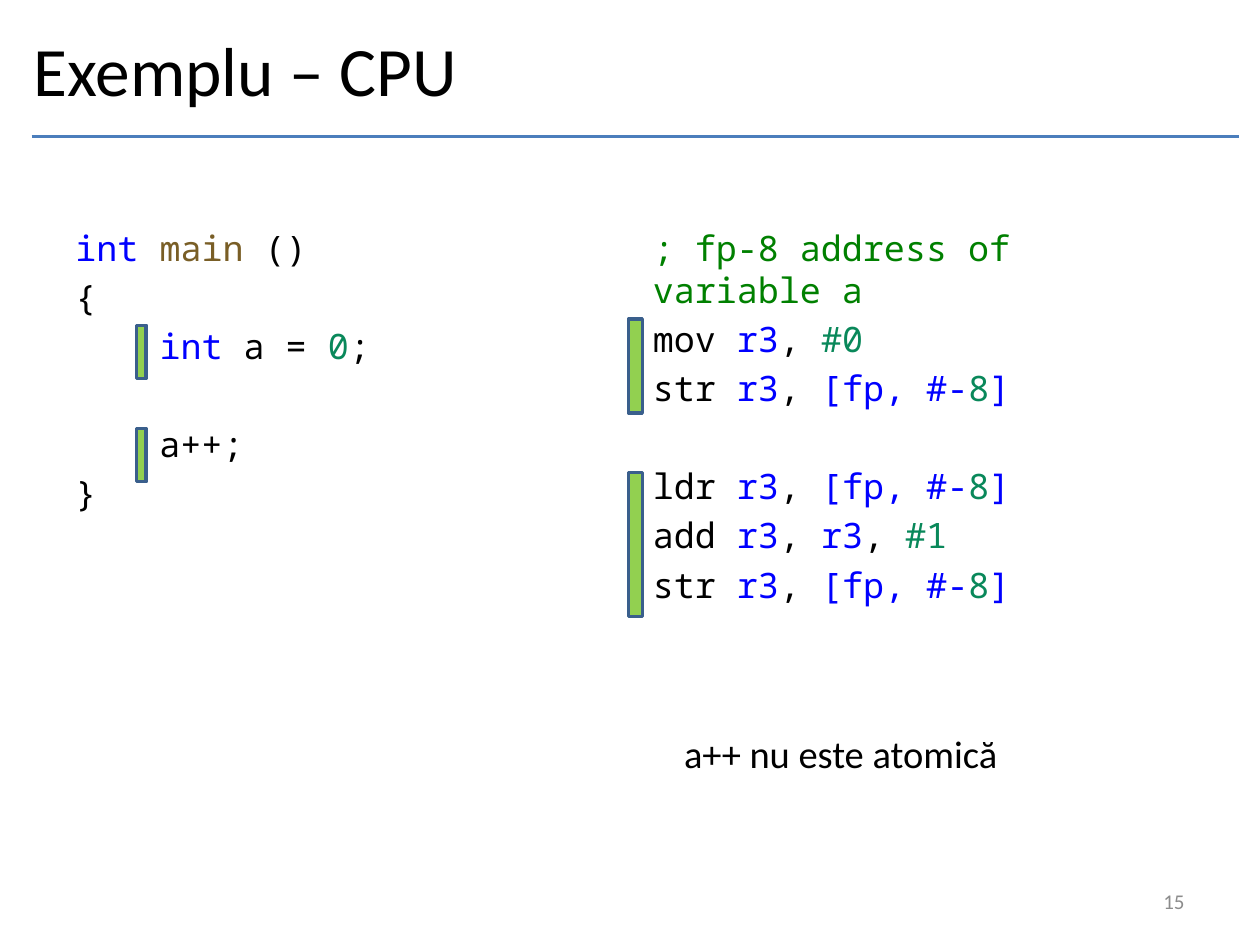
from lxml import etree
from pptx import Presentation
from pptx import util as u
from pptx.dml.color import RGBColor
from pptx.enum import shapes, text
from pptx.oxml.ns import qn

COLOURS = {
    "plain": "000000", "keyword": "0000FF", "function": "795E26",
    "number": "09885A", "remark": "008000", "rule": "4B7EBC",
    "bar": "92D050", "edge": "3A5F8C", "page": "8C8C8C",
}


class SlideBuilder:
    """Holds the style and the current page, and adds each kind of element."""

    body_font = "Calibri"
    code_font = "Noto Sans Mono"
    code_size = 20
    code_gap = 4
    blank_line = 28

    def __init__(self, deck):
        self.page = deck.slides.add_slide(deck.slide_layouts[6])

    def colour(self, name):
        return RGBColor.from_string(COLOURS[name])

    def style(self, span, font, size, colour):
        span.font.name = font
        span.font.size = u.Pt(size)
        span.font.color.rgb = self.colour(colour)

    def frame(self, place, wrap=True):
        box = self.page.shapes.add_textbox(*map(u.Cm, place))
        box.text_frame.word_wrap = wrap
        return box.text_frame

    def label(self, place, words, size, colour="plain", align=text.PP_ALIGN.LEFT,
              anchor=text.MSO_ANCHOR.MIDDLE, wrap=True):
        frame = self.frame(place, wrap)
        frame.text = words
        frame.vertical_anchor = anchor
        para = frame.paragraphs[0]
        para.alignment = align
        self.style(para.runs[0], self.body_font, size, colour)

    def code(self, place, blocks):
        frame = self.frame(place)
        para = frame.paragraphs[0]
        for block_index, block in enumerate(blocks):
            for line_index, line in enumerate(block):
                if block_index or line_index:
                    para = frame.add_paragraph()
                    skipped = 0 if line_index else self.blank_line
                    para.space_before = u.Pt(self.code_gap + skipped)
                for words, colour in line:
                    span = para.add_run()
                    span.text = words
                    self.style(span, self.code_font, self.code_size, colour)

    def bar(self, left, top, width, height):
        bar = self.page.shapes.add_shape(
            shapes.MSO_SHAPE.RECTANGLE, *map(u.Cm, (left, top, width, height)))
        bar.shadow.inherit = False
        bar.fill.solid()
        bar.fill.fore_color.rgb = self.colour("bar")
        bar.line.color.rgb = self.colour("edge")
        bar.line.width = u.Pt(2)

    def rule(self, left, right, top):
        rule = self.page.shapes.add_connector(
            shapes.MSO_CONNECTOR.STRAIGHT, *map(u.Cm, (left, top, right, top)))
        rule.line.color.rgb = self.colour("rule")
        rule.line.width = u.Pt(2)
        etree.SubElement(rule._element.spPr, qn("a:effectLst"))


def instruction(name, *operands):
    line = [(name + " ", "plain")]
    for index, operand in enumerate(operands):
        if index:
            line.append((", ", "plain"))
        line.extend(operand)
    return line


def main():
    deck = Presentation()
    deck.slide_width, deck.slide_height = u.Cm(25.4), u.Cm(19.05)
    slide = SlideBuilder(deck)

    slide.rule(0.64, 24.97, 2.75)
    slide.label((0.43, 0.43, 20.75, 1.9), "Exemplu – CPU", 39.6)

    source = [
        [
            [("int ", "keyword"), ("main", "function"), (" ()", "plain")],
            [("{", "plain")],
            [("    ", "plain"), ("int", "keyword"), (" a = ", "plain"),
             ("0", "number"), (";", "plain")],
        ],
        [[("    a++;", "plain")], [("}", "plain")]],
    ]
    register = [("r3", "keyword")]
    variable = [("[fp, #-", "keyword"), ("8", "number"), ("]", "keyword")]
    store = instruction("str", register, variable)
    assembly = [
        [
            [("; fp-8 address of variable a", "remark")],
            instruction("mov", register, [("#0", "number")]),
            store,
        ],
        [
            instruction("ldr", register, variable),
            instruction("add", register, register, [("#1", "number")]),
            store,
        ],
    ]
    for left, blocks in ((1.27, source), (12.91, assembly)):
        slide.code((left, 4.45, 11.23, 12.57), blocks)

    for top in (6.56, 8.64):
        slide.bar(2.75, top, 0.2, 1.07)
    for top, height in ((6.43, 1.9), (9.53, 2.9)):
        slide.bar(12.67, top, 0.28, height)

    slide.label((13.54, 14.59, 6.91, 1.19), "a++ nu este atomică", 22,
                anchor=text.MSO_ANCHOR.TOP, wrap=False)
    slide.label((18.21, 17.65, 5.92, 1.02), "15", 12, "page", text.PP_ALIGN.RIGHT)
    deck.save("out.pptx")


if __name__ == "__main__":
    main()
